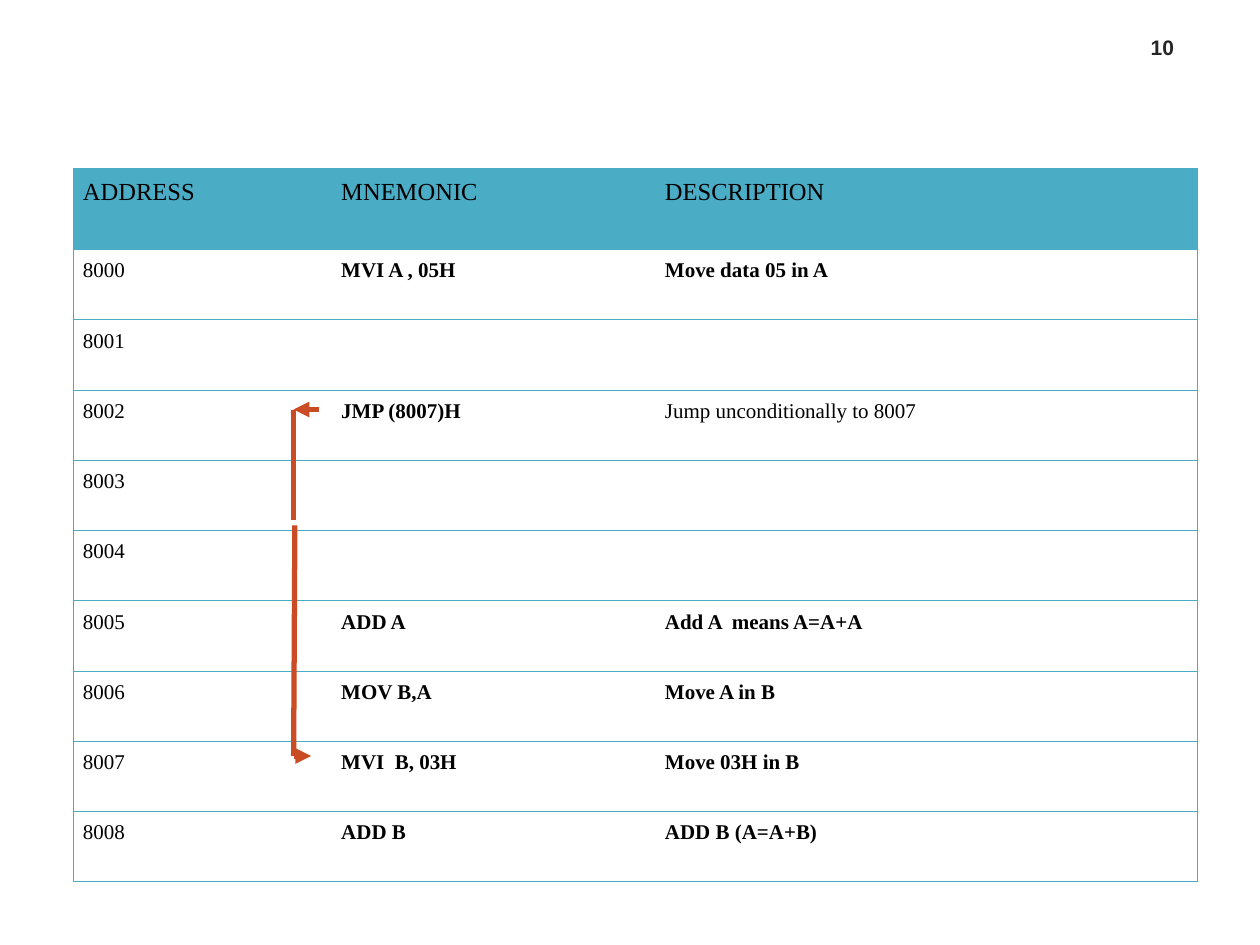
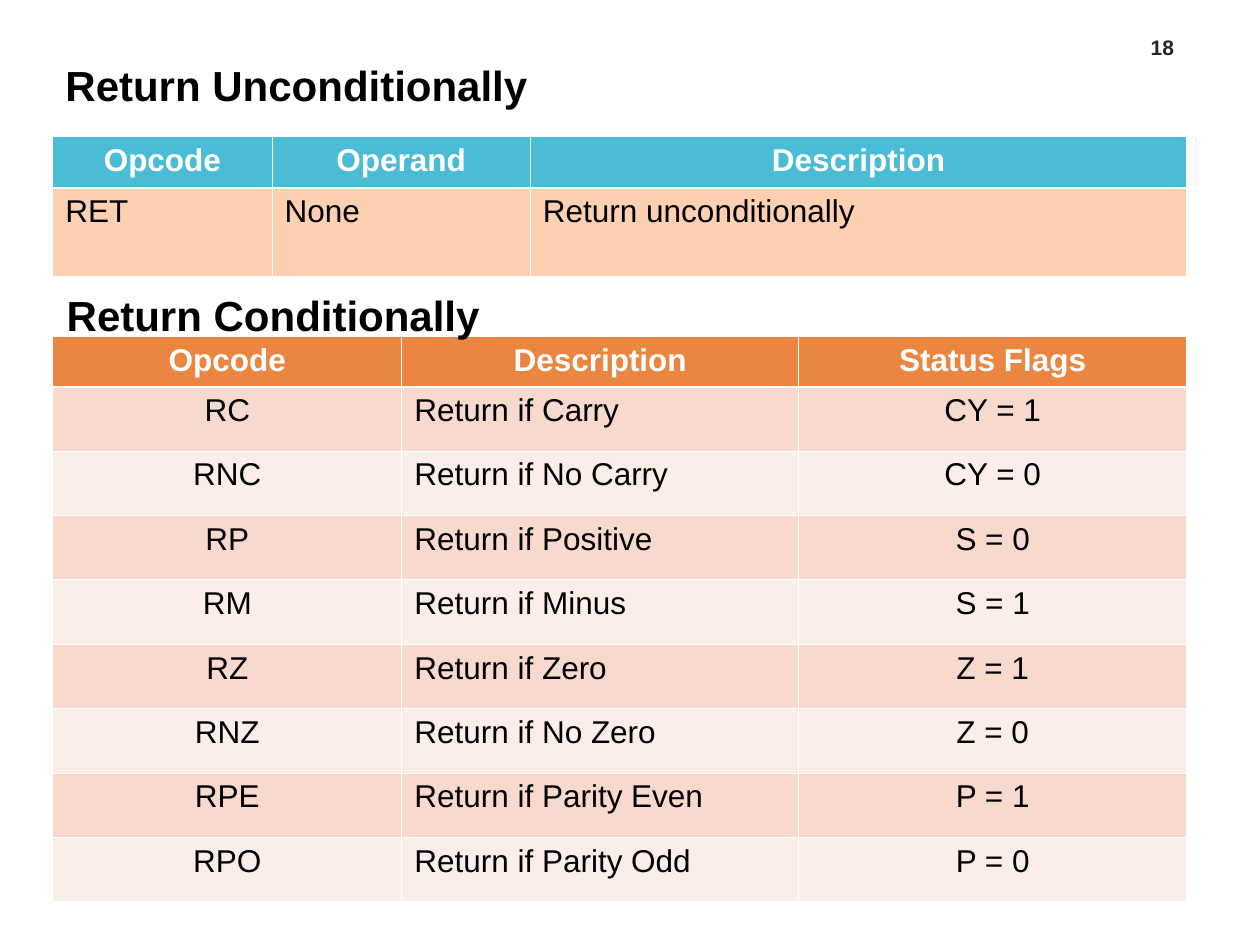
from dataclasses import dataclass

from lxml import etree
from pptx import Presentation
from pptx.dml.color import RGBColor
from pptx.enum import shapes, text
from pptx.oxml import ns
from pptx.util import Pt


@dataclass(frozen=True)
class Theme:
    serif: str = "Times New Roman"
    sans: str = "Arial"
    black: str = "000000"
    white: str = "FFFFFF"
    page_number: str = "262626"
    program_teal: str = "4BACC6"
    jump_red: str = "C94C25"
    return_teal: str = "4BBCD5"
    return_peach: str = "FCD0B0"
    condition_orange: str = "EA8640"
    condition_bands: tuple = ("F7D9CE", "FBEDE8")
    heading_size: float = 24
    opcode_size: float = 18
    column_head_size: float = 14
    program_size: float = 12
    page_size: float = 12
    thin: float = 0.45
    thick: float = 1.47
    jump_width: float = 3


THEME = Theme()
LEFT, CENTER = text.PP_ALIGN.LEFT, text.PP_ALIGN.CENTER


def format_text(frame, words, font, size, color, bold, align):
    frame.text = words
    paragraph = frame.paragraphs[0]
    paragraph.alignment = align
    for run in paragraph.runs:
        run.font.name = font
        run.font.size = Pt(size)
        run.font.bold = bold
        run.font.color.rgb = RGBColor.from_string(color)


def add_grid(slide, left, top, widths, heights, borders, fills):
    """Borders and fills are functions of row and column; None means unpainted."""
    table = slide.shapes.add_table(len(heights), len(widths), Pt(left), Pt(top),
                                   Pt(sum(widths)), Pt(sum(heights))).table
    for column, width in zip(table.columns, widths):
        column.width = Pt(width)
    for row, height in zip(table.rows, heights):
        row.height = Pt(height)
    for r in range(len(heights)):
        for c in range(len(widths)):
            cell = table.cell(r, c)
            properties = cell._tc.get_or_add_tcPr()
            for side, border in zip("LRTB", borders(r, c)):
                edge = etree.SubElement(properties, ns.qn("a:ln" + side))
                if border is None:
                    etree.SubElement(edge, ns.qn("a:noFill"))
                    continue
                color, width = border
                edge.set("w", str(int(Pt(width))))
                paint = etree.SubElement(edge, ns.qn("a:solidFill"))
                etree.SubElement(paint, ns.qn("a:srgbClr"), val=color)
            fill = fills(r, c)
            if fill is None:
                cell.fill.background()
            else:
                cell.fill.solid()
                cell.fill.fore_color.rgb = RGBColor.from_string(fill)
    return table


prs = Presentation()
prs.slide_width, prs.slide_height = Pt(720), Pt(540)
jump_slide = prs.slides.add_slide(prs.slide_layouts[6])
return_slide = prs.slides.add_slide(prs.slide_layouts[5])

# Jump slide: program listing
program = [
    ("ADDRESS", "MNEMONIC", "DESCRIPTION"),
    ("8000", "MVI A , 05H", "Move data 05 in A"),
    ("8001", "", ""),
    ("8002", "JMP (8007)H", "Jump unconditionally to 8007"),
    ("8003", "", ""),
    ("8004", "", ""),
    ("8005", "ADD A", "Add A  means A=A+A"),
    ("8006", "MOV B,A", "Move A in B"),
    ("8007", "MVI  B, 03H", "Move 03H in B"),
    ("8008", "ADD B", "ADD B (A=A+B)"),
]
rule = (THEME.program_teal, THEME.thin)
listing = add_grid(
    jump_slide, 42, 96, [147.6, 185, 309.4], [46.6] + [40.15] * 9,
    lambda r, c: (rule if c == 0 else None, rule if c == 2 else None, rule, rule),
    lambda r, c: THEME.program_teal if r == 0 else None)
for r, entries in enumerate(program):
    for c, words in enumerate(entries):
        cell = listing.cell(r, c)
        cell.margin_left = cell.margin_right = Pt(5.4)
        size = THEME.column_head_size if r == 0 else THEME.program_size
        bold = r > 0 and c > 0 and not words.startswith("Jump")
        format_text(cell.text_frame, words, THEME.serif, size, THEME.black, bold, LEFT)
        cell.text_frame.paragraphs[0].line_spacing = 1.15

# Jump slide: path from 8002 to 8007
jump_path = [
    ((168.5, 300.2), (167.8, 432), False),
    ((182.2, 234), (167.8, 234), True),
    ((167.8, 432), (177.8, 432), True),
    ((167.8, 234), (167.8, 297.4), False),
]
for start, end, has_arrow in jump_path:
    segment = jump_slide.shapes.add_connector(
        shapes.MSO_CONNECTOR.STRAIGHT, *map(Pt, start + end))
    segment.line.color.rgb = RGBColor.from_string(THEME.jump_red)
    segment.line.width = Pt(THEME.jump_width)
    if has_arrow:
        etree.SubElement(segment.line._get_or_add_ln(), ns.qn("a:tailEnd"), type="triangle")
    etree.SubElement(segment._element.spPr, ns.qn("a:effectLst"))

# Return slide: both opcode tables
returns = [
    ("Opcode", "Operand", "Description"),
    ("RET", "None", "Return unconditionally"),
]
conditions = [
    ("Opcode", "Description", "Status Flags"),
    ("RC", "Return if Carry", "CY = 1"),
    ("RNC", "Return if No Carry", "CY = 0"),
    ("RP", "Return if Positive", "S = 0"),
    ("RM", "Return if Minus", "S = 1"),
    ("RZ", "Return if Zero", "Z = 1"),
    ("RNZ", "Return if No Zero", "Z = 0"),
    ("RPE", "Return if Parity Even", "P = 1"),
    ("RPO", "Return if Parity Odd", "P = 0"),
]
opcode_tables = [
    (returns, 78.1, [125.3, 147.6, 375.1], [29.2, 50.6],
     THEME.return_teal, (THEME.return_peach,), (LEFT, LEFT, LEFT)),
    (conditions, 192.4, [199.4, 226.8, 221.8], [28.6] + [36.8] * 8,
     THEME.condition_orange, THEME.condition_bands, (CENTER, LEFT, CENTER)),
]
fine, heavy = (THEME.white, THEME.thin), (THEME.white, THEME.thick)
for entries, top, widths, heights, head, bands, aligns in opcode_tables:
    opcodes = add_grid(
        return_slide, 30.2, top, widths, heights,
        lambda r, c: (fine, fine, heavy if r == 1 else fine, heavy if r == 0 else fine),
        lambda r, c: head if r == 0 else bands[(r - 1) % len(bands)])
    for r, row in enumerate(entries):
        for c, words in enumerate(row):
            is_head = r == 0
            format_text(opcodes.cell(r, c).text_frame, words, THEME.sans, THEME.opcode_size,
                        THEME.white if is_head else THEME.black, is_head,
                        CENTER if is_head else aligns[c])

# Return slide: headings
unconditional = return_slide.shapes.title
unconditional.left, unconditional.top = Pt(30.2), Pt(30.2)
unconditional.width, unconditional.height = Pt(280.8), Pt(36.2)
conditional = return_slide.shapes.add_textbox(Pt(31), Pt(162), Pt(250.6), Pt(36.2))
for heading, words in ((unconditional, "Return Unconditionally"),
                       (conditional, "Return Conditionally")):
    frame = heading.text_frame
    frame.word_wrap = False
    frame.auto_size = text.MSO_AUTO_SIZE.NONE
    frame.vertical_anchor = text.MSO_ANCHOR.TOP
    format_text(frame, words, THEME.sans, THEME.heading_size, THEME.black, True, LEFT)

# Page numbers
for slide, number in ((jump_slide, "10"), (return_slide, "18")):
    page = slide.shapes.add_textbox(Pt(644.4), Pt(13.7), Pt(39.6), Pt(23.8)).text_frame
    page.word_wrap = True
    page.vertical_anchor = text.MSO_ANCHOR.BOTTOM
    format_text(page, number, THEME.sans, THEME.page_size, THEME.page_number, True, CENTER)

prs.save("out.pptx")
